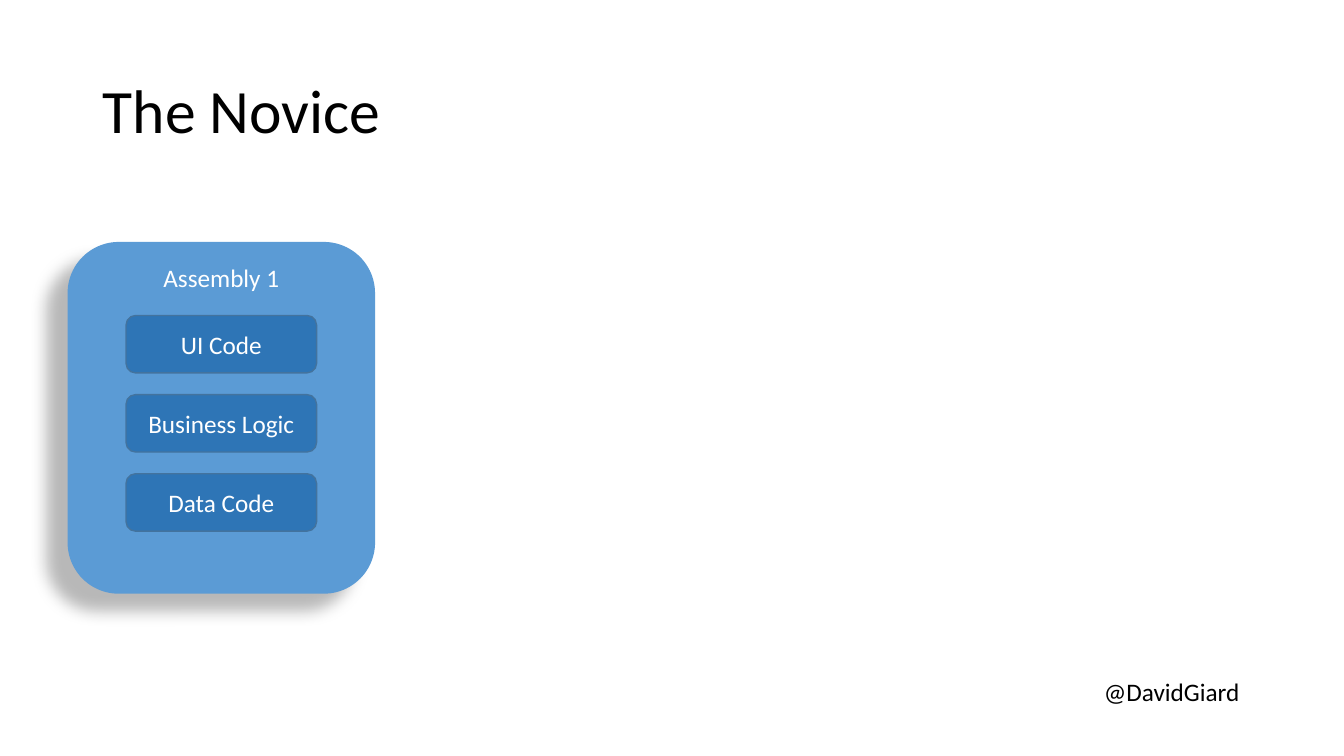
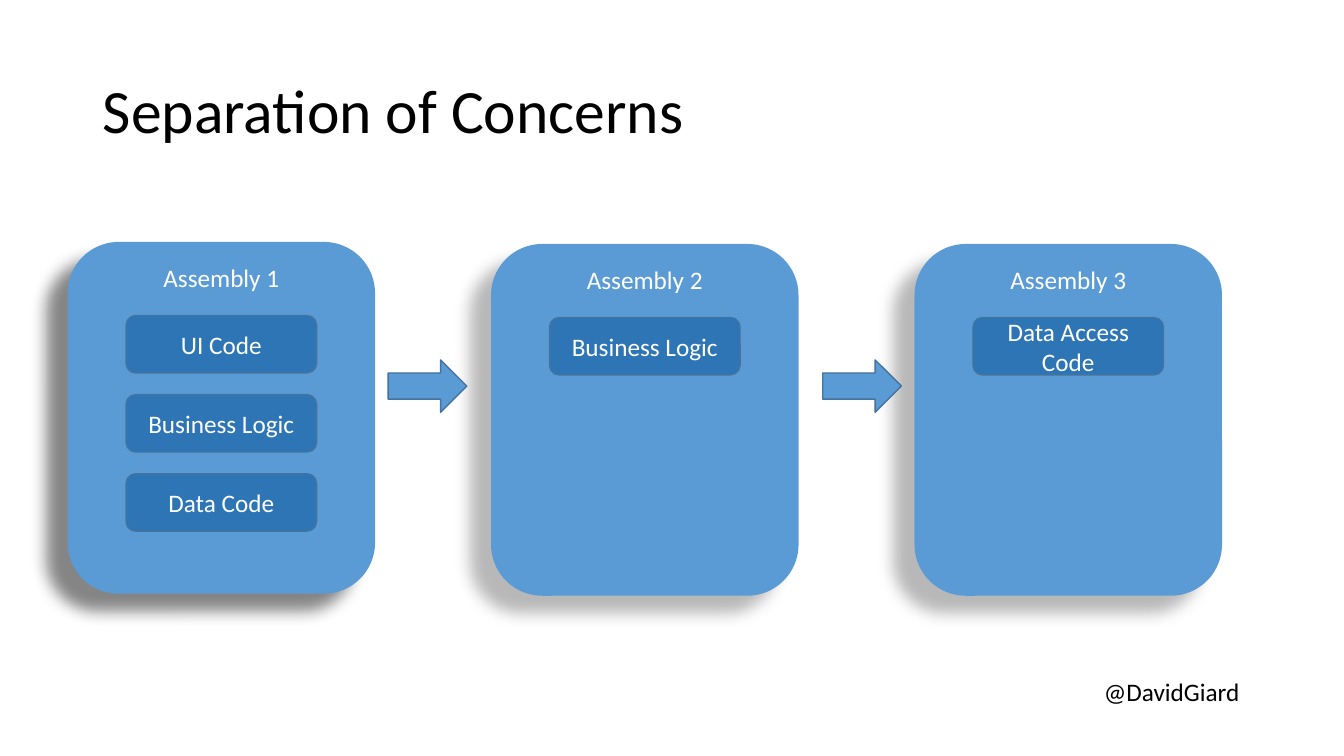
from pptx import Presentation
from pptx.dml.color import RGBColor
from pptx.enum.shapes import MSO_SHAPE
from pptx.enum.text import MSO_ANCHOR, MSO_AUTO_SIZE, PP_ALIGN
from pptx.oxml import parse_xml
from pptx.oxml.ns import nsdecls
from pptx.util import Inches, Pt

ROUND, ARROW = MSO_SHAPE.ROUNDED_RECTANGLE, MSO_SHAPE.RIGHT_ARROW
TOP, MIDDLE = MSO_ANCHOR.TOP, MSO_ANCHOR.MIDDLE
LEFT, CENTER = PP_ALIGN.LEFT, PP_ALIGN.CENTER
FIT, FIXED = MSO_AUTO_SIZE.SHAPE_TO_FIT_TEXT, MSO_AUTO_SIZE.NONE
FONT = "Calibri"
BLUE, DEEP, EDGE = "5B9BD5", "2E75B6", "43739E"
WHITE, BLACK = "FFFFFF", "000000"
CARD_W, CARD_H, CARD_STEP = 3.05, 3.49, 4.2
PART_W, PART_H, PART_STEP = 1.89, 0.57, 0.785


def write(shape, text, size, color, align, anchor):
    frame = shape.text_frame
    frame.text = text
    frame.vertical_anchor = anchor
    para = frame.paragraphs[0]
    para.alignment = align
    font = para.runs[0].font
    font.name, font.size = FONT, Pt(size)
    font.color.rgb = RGBColor.from_string(color)


def draw(shapes, kind, box, fill, edge=None):
    shape = shapes.add_shape(kind, *[Inches(n) for n in box])
    shape.shadow.inherit = False
    shape.fill.solid()
    shape.fill.fore_color.rgb = RGBColor.from_string(fill)
    if edge:
        shape.line.color.rgb = RGBColor.from_string(edge)
        shape.line.width = Pt(1)
    else:
        shape.line.fill.background()
    return shape


deck = Presentation()
deck.slide_width, deck.slide_height = Inches(13.33), Inches(7.5)
layout = deck.slide_layouts[5]
head = layout.placeholders[0]
head.left, head.top = Inches(0.92), Inches(0.4)
head.width, head.height = Inches(11.5), Inches(1.45)

code = ["UI Code", "Business Logic", "Data Code"]
pages = [
    ("The Novice", [(2.4, 28, code)], []),
    ("Separation of Concerns",
     [(2.4, 48, code), (2.42, 28, ["Business Logic"]), (2.42, 28, ["Data Access Code"])],
     [3.85, 8.16]),
]

for title, cards, arrows in pages:
    slide = deck.slides.add_slide(layout)
    write(slide.shapes.title, title, 44, BLACK, LEFT, MIDDLE)
    slide.shapes.title.text_frame.auto_size = FIXED
    slide.shapes.title.text_frame.paragraphs[0].line_spacing = 0.9

    for col, (top, shade, parts) in enumerate(cards):
        left = 0.67 + col * CARD_STEP
        group = slide.shapes.add_group_shape()
        card = draw(group.shapes, ROUND, (left, top, CARD_W, CARD_H), BLUE)
        write(card, f"Assembly {col + 1}", 18, WHITE, CENTER, TOP)
        card.element.spPr.find("{*}effectLst").append(parse_xml(
            f'<a:outerShdw {nsdecls("a")} blurRad="{Pt(11.8)}" dist="{Pt(19.7)}" '
            f'dir="{141 * 60000}" algn="ctr" rotWithShape="0">'
            f'<a:srgbClr val="{BLACK}"><a:alpha val="{shade * 1000}"/></a:srgbClr>'
            '</a:outerShdw>'))
        for row, name in enumerate(parts):
            spot = (left + (CARD_W - PART_W) / 2, top + 0.73 + row * PART_STEP)
            part = draw(group.shapes, ROUND, (*spot, PART_W, PART_H), DEEP, EDGE)
            write(part, name, 18, WHITE, CENTER, MIDDLE)

    for left in arrows:
        draw(slide.shapes, ARROW, (left, 3.57, 0.78, 0.52), BLUE, EDGE)

foot = slide.shapes.add_textbox(Inches(10.85), Inches(6.66), Inches(1.56), Inches(0.4))
write(foot, "@DavidGiard", 18, BLACK, LEFT, TOP)
foot.text_frame.word_wrap = False
foot.text_frame.auto_size = FIT
layout.shapes.element.append(foot.element)

deck.save("out.pptx")
